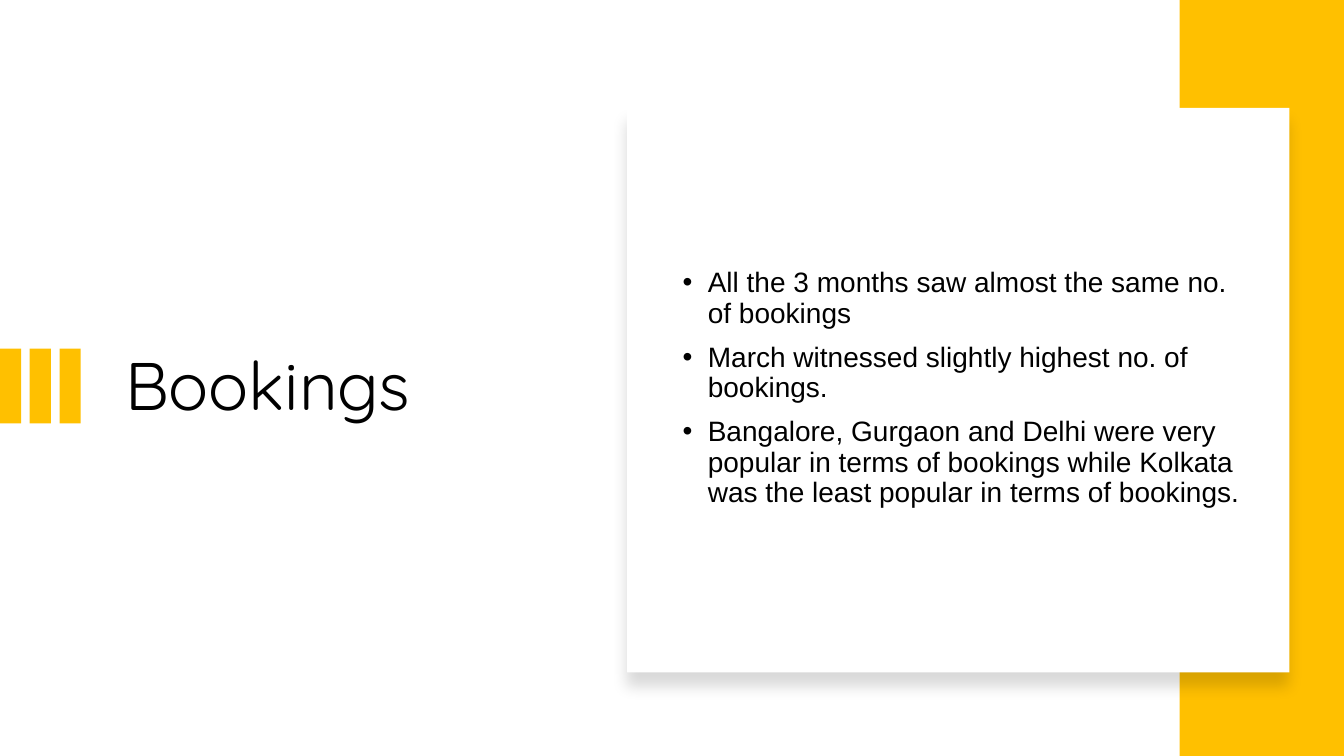
from lxml import etree
from pptx import Presentation
from pptx import util as u
from pptx.dml.color import RGBColor
from pptx.enum import shapes, text
from pptx.oxml import ns

HEADING = "Bookings"
FINDINGS = [
    "All the 3 months saw almost the same no. of bookings",
    "March witnessed slightly highest no. of bookings.",
    "Bangalore, Gurgaon and Delhi were very popular in terms of bookings "
    "while Kolkata was the least popular in terms of bookings.",
]

AMBER, WHITE, BLACK = "FFC000", "FFFFFF", "000000"
SLIDE_SIZE = 13.33, 7.5
HEADING_BOX = 1.14, 1.46, 4.26, 4.79
FINDINGS_BOX = 6.67, 1.46, 5.75, 4.79
SIDE_BAND = 11.7, 0, 1.63, 7.5
CARD = 6.22, 1.07, 6.57, 5.6
STRIPE_COUNT, STRIPE_STEP = 3, 0.295
STRIPE_TOP, STRIPE_WIDTH, STRIPE_HEIGHT = 3.46, 0.21, 0.74

HEADING_FONT = {"name": "Quicksand", "size": u.Pt(48)}
FINDINGS_FONT = {"name": "Arial", "size": u.Pt(20)}
FRAME_FORMAT = {
    "word_wrap": True,
    "auto_size": text.MSO_AUTO_SIZE.NONE,
    "vertical_anchor": text.MSO_ANCHOR.MIDDLE,
}


def rgb(hex_color):
    return RGBColor.from_string(hex_color)


def apply(target, values):
    for name, value in values.items():
        setattr(target, name, value)


def place(placeholder, box):
    apply(placeholder, dict(zip(("left", "top", "width", "height"), map(u.Inches, box))))
    apply(placeholder.text_frame, FRAME_FORMAT)


def add_block(slide, box, color):
    block = slide.shapes.add_shape(shapes.MSO_SHAPE.RECTANGLE, *map(u.Inches, box))
    block.shadow.inherit = False
    block.fill.solid()
    block.fill.fore_color.rgb = rgb(color)
    block.line.fill.background()
    return block


def add_soft_shadow(block):
    effects = block.element.spPr.find(ns.qn("a:effectLst"))
    shadow = etree.SubElement(
        effects, ns.qn("a:outerShdw"), blurRad=str(u.Pt(11)), dist=str(u.Pt(10)),
        dir="5400000", algn="t", rotWithShape="0")
    color = etree.SubElement(shadow, ns.qn("a:srgbClr"), val=BLACK)
    etree.SubElement(color, ns.qn("a:alpha"), val="15000")


def add_bullet(paragraph):
    properties = paragraph._p.get_or_add_pPr()
    properties.set("marL", str(u.Inches(0.25)))
    properties.set("indent", str(u.Inches(-0.25)))
    etree.SubElement(properties, ns.qn("a:buFont"), typeface="Arial")
    etree.SubElement(properties, ns.qn("a:buChar"), char="•")


def style(paragraph, font, space_before=0):
    apply(paragraph, {"alignment": text.PP_ALIGN.LEFT, "line_spacing": 0.9,
                      "space_before": u.Pt(space_before)})
    apply(paragraph.font, font)
    paragraph.font.color.rgb = rgb(BLACK)


def main():
    deck = Presentation()
    deck.slide_width, deck.slide_height = map(u.Inches, SLIDE_SIZE)
    slide = deck.slides.add_slide(deck.slide_layouts[1])
    heading, findings = slide.placeholders

    place(heading, HEADING_BOX)
    heading.text_frame.text = HEADING
    style(heading.text_frame.paragraphs[0], HEADING_FONT)

    for index in range(STRIPE_COUNT):
        add_block(slide, (index * STRIPE_STEP, STRIPE_TOP, STRIPE_WIDTH, STRIPE_HEIGHT), AMBER)
    add_block(slide, SIDE_BAND, AMBER)
    add_soft_shadow(add_block(slide, CARD, WHITE))

    place(findings, FINDINGS_BOX)
    findings.text_frame.text = "\n".join(FINDINGS)
    for index, paragraph in enumerate(findings.text_frame.paragraphs):
        add_bullet(paragraph)
        style(paragraph, FINDINGS_FONT, space_before=10 if index else 0)
    slide.shapes.element.append(findings.element)  # bring the list in front of the card

    deck.save("out.pptx")


if __name__ == "__main__":
    main()
